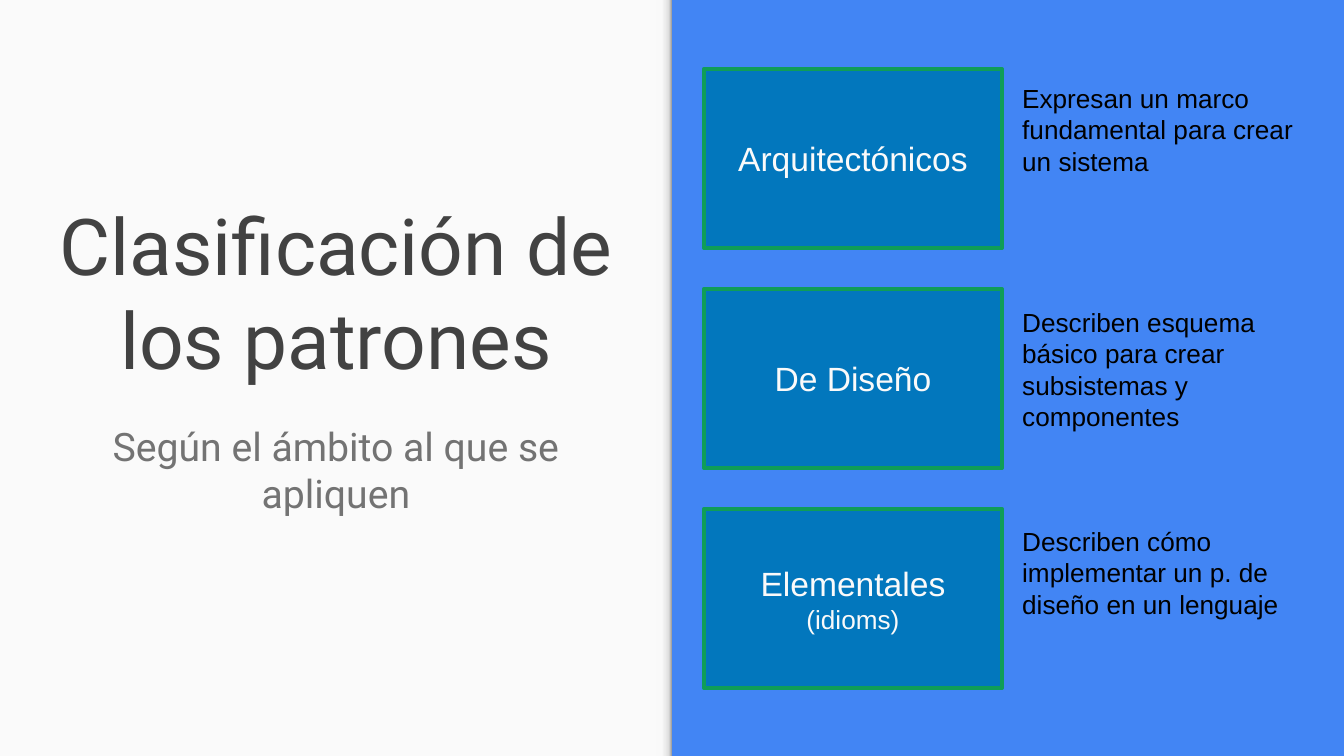
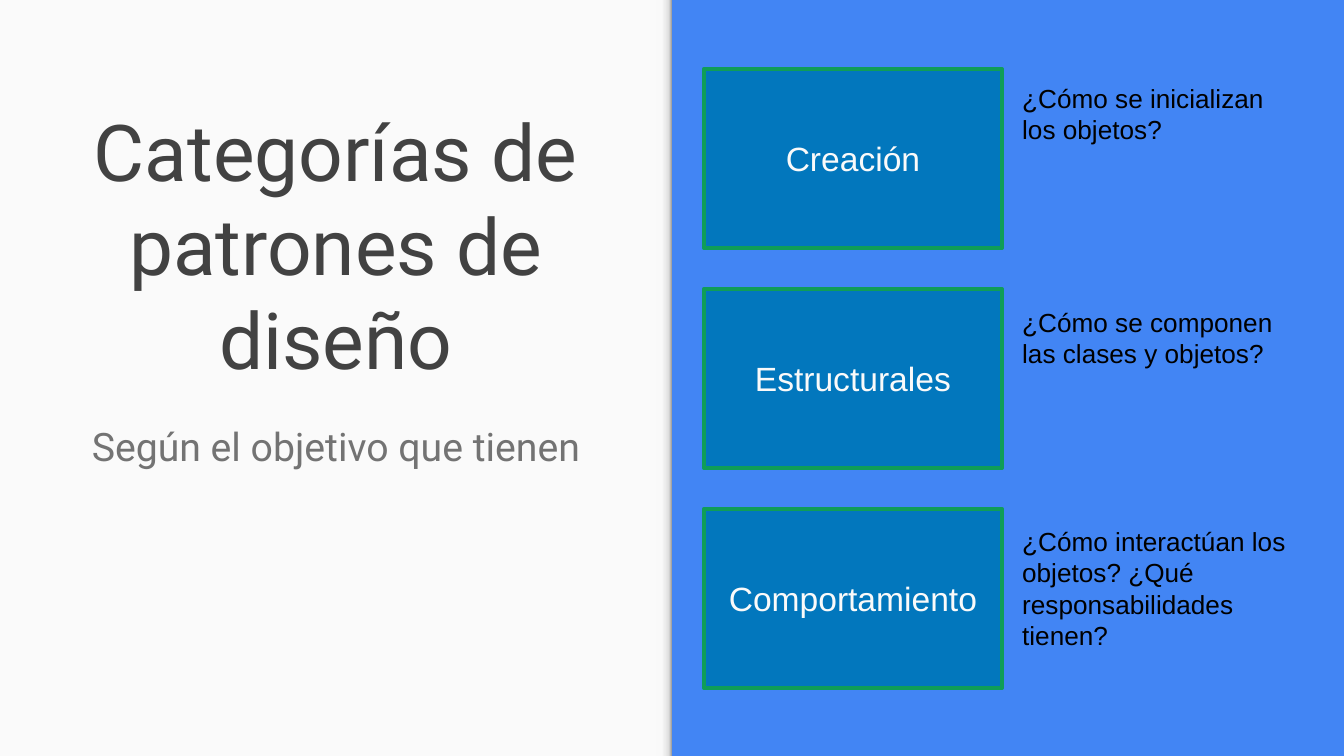
from pptx import Presentation
from pptx.dml.color import RGBColor
from pptx.enum.shapes import MSO_SHAPE
from pptx.enum.text import MSO_ANCHOR, PP_ALIGN
from pptx.util import Emu, Pt
from copy import deepcopy

RECTANGLE = MSO_SHAPE.RECTANGLE
TOP, MIDDLE, BOTTOM = MSO_ANCHOR.TOP, MSO_ANCHOR.MIDDLE, MSO_ANCHOR.BOTTOM
LEFT, CENTER = PP_ALIGN.LEFT, PP_ALIGN.CENTER

WIDTH, HEIGHT = 1344, 756
EMU_PER_PX = 914400 / 134.4
INSET = 13.44
LINE_PITCH = 1.2

BLUE, PAPER, CARD, GREEN = "4285F4", "FAFAFA", "0277BD", "0F9D58"
EDGE_STOPS = [(0, "F9F9F9"), (0.36, "F9F9F9"), (0.8, "DEDEDE"), (1, "999999")]

TITLE = {"name": "Roboto", "size": 42, "color": "424242"}
SUBTITLE = {"name": "Roboto", "size": 21, "color": "737373"}
LABEL = {"name": "Arial", "size": 18, "color": PAPER}
SMALL_LABEL = {**LABEL, "size": 14}
NOTE = {"name": "Arial", "size": 14, "color": "000000"}

CARD_TOPS = [69 + 220 * row for row in range(3)]
NOTE_TOPS = [69, 293, 512]

SLIDES = [
    (
        "Clasificación de los patrones",
        "Según el ámbito al que se apliquen",
        [
            (["Arquitectónicos"], "Expresan un marco fundamental para crear un sistema"),
            (["De Diseño"], "Describen esquema básico para crear subsistemas y componentes"),
            (["Elementales", "(idioms)"], "Describen cómo implementar un p. de diseño en un lenguaje"),
        ],
    ),
    (
        "Categorías de patrones de diseño",
        "Según el objetivo que tienen",
        [
            (["Creación"], "¿Cómo se inicializan los objetos?"),
            (["Estructurales"], "¿Cómo se componen las clases y objetos?"),
            (["Comportamiento"], "¿Cómo interactúan los objetos? ¿Qué responsabilidades tienen?"),
        ],
    ),
]


def px(length):
    """Turn px into EMU."""
    return Emu(round(length * EMU_PER_PX))


def rgb(code):
    """Turn a hex string into a colour."""
    return RGBColor.from_string(code)


class SplitDeck:
    """Slides with a paper half for the title and a blue half for the cards."""

    def __init__(self):
        """Start an empty deck."""
        self.deck = Presentation()
        self.deck.slide_width, self.deck.slide_height = px(WIDTH), px(HEIGHT)
        self.page = None

    def add_page(self):
        """Add a slide with the shared halves and the shaded edge."""
        self.page = self.deck.slides.add_slide(self.deck.slide_layouts[6])
        background = self.page.background.fill
        background.solid()
        background.fore_color.rgb = rgb(BLUE)
        self.add_rectangle((0, 0, WIDTH // 2, HEIGHT), PAPER)
        self.add_edge()

    def add_rectangle(self, area, color, outline=None):
        """Add a flat rectangle with an optional outline."""
        box = self.page.shapes.add_shape(RECTANGLE, *map(px, area))
        box.shadow.inherit = False
        box.fill.solid()
        box.fill.fore_color.rgb = rgb(color)
        if outline:
            box.line.color.rgb = rgb(outline)
            box.line.width = Pt(2.25)
        else:
            box.line.fill.background()
        return box

    def add_edge(self):
        """Shade the right edge of the paper half."""
        edge = self.add_rectangle((286, 370, HEIGHT, 16), PAPER)
        edge.rotation = 90
        edge.fill.gradient()
        edge.fill.gradient_angle = 90
        stop_list = edge.element.xpath(".//a:gsLst")[0]
        for _ in EDGE_STOPS[2:]:
            stop_list.append(deepcopy(stop_list[0]))
        for stop, (position, color) in zip(edge.fill.gradient_stops, EDGE_STOPS):
            stop.position = position
            stop.color.rgb = rgb(color)

    def fill_text(self, box, spans, align, anchor, spacing=None):
        """Put one paragraph of spans in a box, each on its own line."""
        frame = box.text_frame
        layout = {"word_wrap": True, "vertical_anchor": anchor}
        layout.update({f"margin_{side}": px(INSET) for side in ("left", "top", "right", "bottom")})
        for key, value in layout.items():
            setattr(frame, key, value)
        para = frame.paragraphs[0]
        para.alignment = align
        para.line_spacing = spacing
        for index, (words, style) in enumerate(spans):
            if index:
                para.add_line_break()
            span = para.add_run()
            span.text = words
            for key, value in {"name": style["name"], "size": Pt(style["size"])}.items():
                setattr(span.font, key, value)
            span.font.color.rgb = rgb(style["color"])

    def add_text(self, area, words, style, align=LEFT, anchor=TOP):
        """Add a wrapped text box."""
        box = self.page.shapes.add_textbox(*map(px, area))
        self.fill_text(box, [(words, style)], align, anchor, Pt(style["size"] * LINE_PITCH))

    def add_card(self, top, lines):
        """Add an outlined card whose second line is smaller."""
        box = self.add_rectangle((704, top, 298, 179), CARD, GREEN)
        self.fill_text(box, list(zip(lines, (LABEL, SMALL_LABEL))), CENTER, MIDDLE)


def main():
    """Build and save the deck."""
    split = SplitDeck()
    for title, subtitle, entries in SLIDES:
        split.add_page()
        split.add_text((39, 181, 594, 218), title, TITLE, CENTER, BOTTOM)
        split.add_text((39, 409, 594, 181), subtitle, SUBTITLE, CENTER)
        for top, (lines, _) in zip(CARD_TOPS, entries):
            split.add_card(top, lines)
        for top, (_, note) in zip(NOTE_TOPS, entries):
            split.add_text((1009, top, 298, 171), note, NOTE)
    split.deck.save("out.pptx")


if __name__ == "__main__":
    main()
